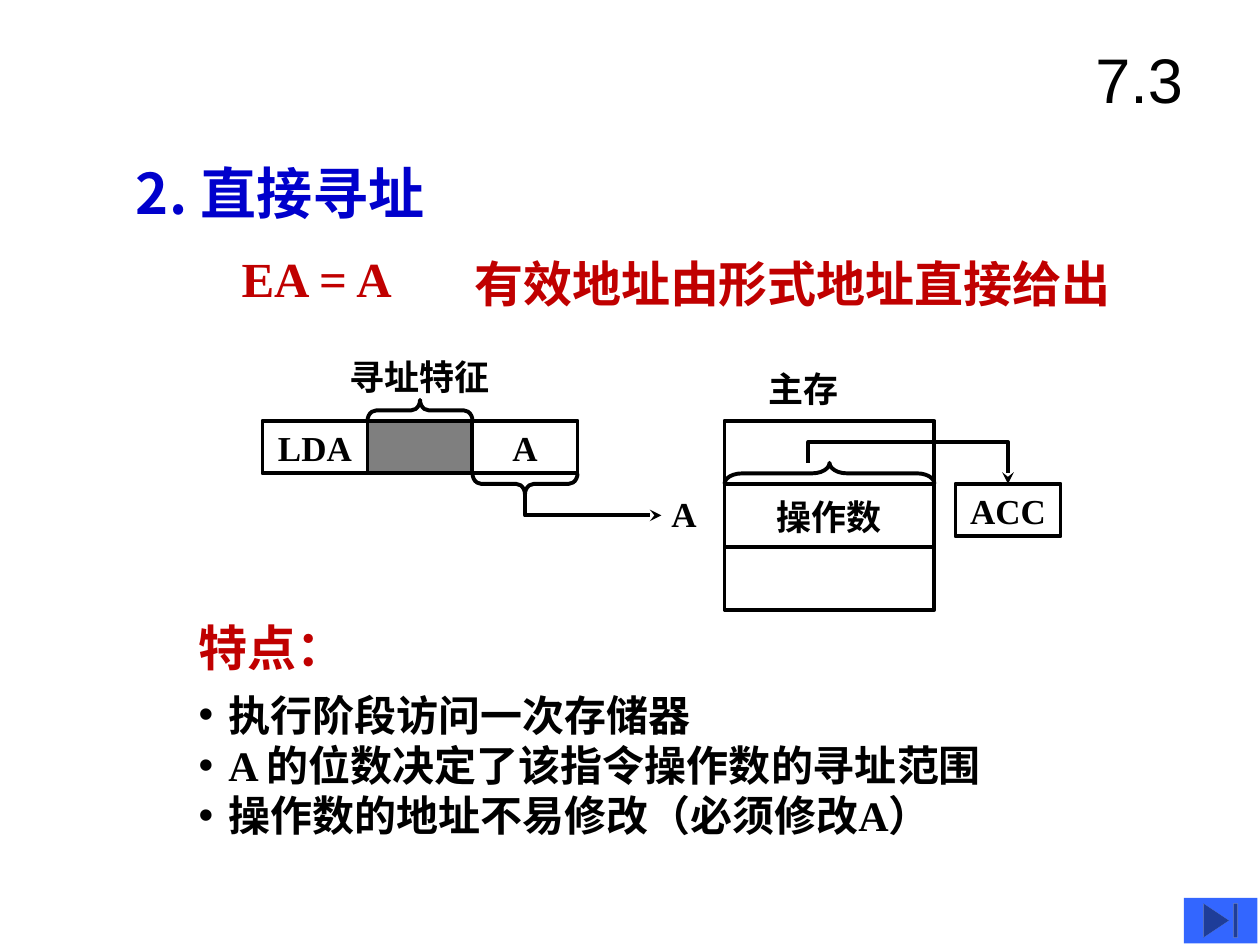
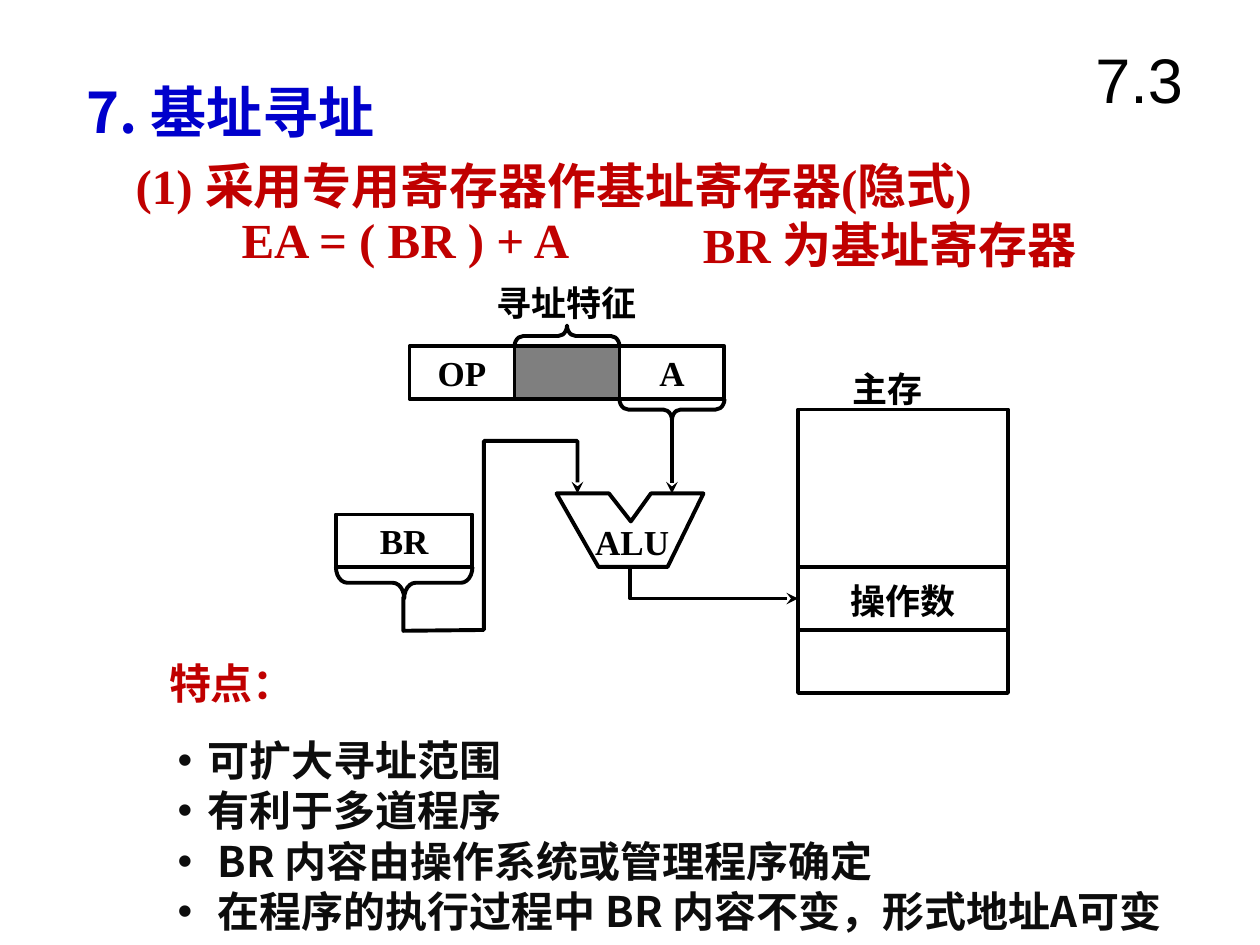
from dataclasses import dataclass
from lxml import etree
from pptx import Presentation
from pptx.dml import color
from pptx.enum import shapes, text
from pptx.oxml import ns
from pptx.util import Pt


@dataclass(frozen=True)
class Theme:
    blue: str = "0000CC"
    red: str = "C00000"
    black: str = "000000"
    soft_black: str = "0D0D0D"
    button: str = "3366FF"
    serif: str = "Times New Roman"
    cjk: str = "Noto Sans CJK SC"
    sans: str = "Arial"
    section: int = 36
    heading: int = 32
    formula: int = 28
    bullet: int = 24
    label: int = 20
    line: float = 2.25
    leading: float = 1.2
    cjk_drop: float = 0.09


THEME = Theme()
SECTION = "7.3"
CELL_W, CELL_H = 60, 30
MEMORY_W, ROW_H = 120, 36
BRACE = 12

DIRECT = {
    "heading": ("2. 直接寻址", 70.5, 84),
    "formulas": [
        ("EA = A", 131, 138.5, 200),
        ("有效地址由形式地址直接给出", 264, 139, 414),
    ],
    "instruction": ("LDA", 150, 240.5),
    "memory": (414, 240.5, (ROW_H, ROW_H, ROW_H), 432),
    "features": ("特点：", 106.5, 347, THEME.formula),
    "bullets": {
        "at": (106.5, 388, 537, 94),
        "font": THEME.serif,
        "color": THEME.black,
        "lines": [
            ("执行阶段访问一次存储器", 17),
            ("A 的位数决定了该指令操作数的寻址范围", 17),
            ("操作数的地址不易修改（必须修改A）", 17),
        ],
    },
}

BASE = {
    "heading": ("7. 基址寻址", 42, 38),
    "formulas": [
        ("(1) 采用专用寄存器作基址寄存器(隐式)", 70.5, 83, 499),
        ("EA = ( BR ) + A", 131, 116.5, 230),
        ("BR 为基址寄存器", 394.5, 116.5, 250),
    ],
    "instruction": ("OP", 234, 198),
    "memory": (456, 234, (90, ROW_H, ROW_H), 480),
    "features": ("特点：", 89.5, 370, THEME.bullet),
    "bullets": {
        "at": (94.5, 414, 612, 123),
        "font": THEME.cjk,
        "color": THEME.soft_black,
        "lines": [
            ("可扩大寻址范围", 17),
            ("有利于多道程序", 17),
            ("BR 内容由操作系统或管理程序确定", 23),
            ("在程序的执行过程中 BR 内容不变，形式地址A可变", 23),
        ],
    },
}


def rgb(value):
    return color.RGBColor.from_string(value)


def add_child(parent, tag, **attributes):
    return etree.SubElement(parent, ns.qn(tag), **attributes)


def write(box, content, *, size=THEME.label, font=THEME.serif, ink=THEME.black,
          bold=True, align=text.PP_ALIGN.LEFT, anchor=text.MSO_ANCHOR.TOP,
          wrap=True, indents=None):
    lines = [content] if isinstance(content, str) else content
    frame = box.text_frame
    frame.word_wrap = wrap
    frame.auto_size = text.MSO_AUTO_SIZE.NONE
    frame.vertical_anchor = anchor
    frame.margin_left = frame.margin_right = Pt(7.2)
    has_cjk = any(ord(letter) > 0x2E80 for letter in "".join(lines))
    frame.margin_top = Pt(3.6 + has_cjk * THEME.cjk_drop * size)
    frame.margin_bottom = Pt(3.6)
    for index, line in enumerate(lines):
        paragraph = frame.paragraphs[0] if index == 0 else frame.add_paragraph()
        paragraph.alignment = align
        paragraph.line_spacing = Pt(THEME.leading * size)
        paragraph.space_before = Pt(0)
        if indents:
            properties = paragraph._p.get_or_add_pPr()
            properties.set("marL", str(Pt(indents[index])))
            properties.set("indent", str(-Pt(indents[index])))
            add_child(properties, "a:buFont", typeface=THEME.sans)
            add_child(properties, "a:buChar", char="•")
        run = paragraph.add_run()
        run.text = line
        run.font.size = Pt(size)
        run.font.bold = bold
        run.font.name = font
        run.font.color.rgb = rgb(ink)
        add_child(run._r.get_or_add_rPr(), "a:ea", typeface=THEME.cjk)


def label(slide, content, x, y, width, height, **form):
    box = slide.shapes.add_textbox(Pt(x), Pt(y), Pt(width), Pt(height))
    write(box, content, **form)


def outline(shape):
    shape.shadow.inherit = False
    shape.fill.background()
    shape.line.color.rgb = rgb(THEME.black)
    shape.line.width = Pt(THEME.line)


def cell(slide, x, y, width, height, content="", shaded=False):
    box = slide.shapes.add_shape(
        shapes.MSO_SHAPE.RECTANGLE, Pt(x), Pt(y), Pt(width), Pt(height))
    outline(box)
    if shaded:
        box.fill.solid()
        box.fill.fore_color.rgb = rgb(THEME.black)
        ink = box._element.spPr.find(".//" + ns.qn("a:srgbClr"))
        add_child(ink, "a:alpha", val="50000")
    if content:
        write(box, content, align=text.PP_ALIGN.CENTER,
              anchor=text.MSO_ANCHOR.MIDDLE, wrap=False)


def brace(slide, x, y, span, depth=BRACE, up=True):
    left = x + (span - depth) / 2
    top = y - (span - depth) / 2
    shape = slide.shapes.add_shape(
        shapes.MSO_SHAPE.LEFT_BRACE, Pt(left), Pt(top), Pt(depth), Pt(span))
    shape.adjustments[0] = span / 12 / depth
    shape.rotation = 90 if up else 270
    outline(shape)


def add_arrowhead(line):
    add_child(line._get_or_add_ln(), "a:tailEnd", type="stealth")


def route(slide, points, closed=False):
    corners = [(Pt(x), Pt(y)) for x, y in points]
    builder = slide.shapes.build_freeform(*corners[0], scale=1.0)
    builder.add_line_segments(corners[1:], close=closed)
    shape = builder.convert_to_shape()
    outline(shape)
    if not closed:
        add_arrowhead(shape.line)


def straight_arrow(slide, start, end):
    arrow = slide.shapes.add_connector(
        shapes.MSO_CONNECTOR.STRAIGHT, *map(Pt, start + end))
    arrow.line.color.rgb = rgb(THEME.black)
    arrow.line.width = Pt(THEME.line)
    add_arrowhead(arrow.line)
    add_child(arrow._element.spPr, "a:effectLst")


def draw_instruction(slide, opcode, x, y):
    for index, content in enumerate((opcode, "", "A")):
        cell(slide, x + index * CELL_W, y, CELL_W, CELL_H, content,
             shaded=not content)
    brace(slide, x + CELL_W, y - BRACE, CELL_W)
    brace(slide, x + 2 * CELL_W, y + CELL_H, CELL_W, up=False)
    label(slide, "寻址特征", x + 42.5, y - 42.5, 105, 32)


def draw_memory(slide, x, y, heights, label_x):
    label(slide, "主存", label_x, 204.5, 60, 32)
    for index, height in enumerate(heights):
        cell(slide, x, y + sum(heights[:index]), MEMORY_W, height,
             "操作数" if index == 1 else "")


def start_slide(deck, content):
    slide = deck.slides.add_slide(deck.slide_layouts[5])
    heading, x, y = content["heading"]
    title = slide.shapes.title
    title.left, title.top, title.width, title.height = map(Pt, (x, y, 267, 46))
    write(title, heading, size=THEME.heading, font=THEME.cjk, ink=THEME.blue)
    label(slide, SECTION, 606, 12, 90, 66, size=THEME.section, font=THEME.sans,
          bold=False, align=text.PP_ALIGN.CENTER, anchor=text.MSO_ANCHOR.MIDDLE)
    for formula, x, y, width in content["formulas"]:
        label(slide, formula, x, y, width, 41, size=THEME.formula, ink=THEME.red)
    draw_instruction(slide, *content["instruction"])
    draw_memory(slide, *content["memory"])
    features, x, y, size = content["features"]
    label(slide, features, x, y, 120, 41, size=size, font=THEME.cjk, ink=THEME.red)
    bullets = content["bullets"]
    lines, indents = zip(*bullets["lines"])
    label(slide, lines, *bullets["at"], size=THEME.bullet, font=bullets["font"],
          ink=bullets["color"], indents=indents)
    return slide


def build_direct(deck):
    slide = start_slide(deck, DIRECT)
    route(slide, [(300, 282), (300, 294.5), (378, 294.5)])
    label(slide, "A", 376.5, 278, 40, 32)
    brace(slide, 414, 264.5, MEMORY_W)
    cell(slide, 546, 276.5, CELL_W, CELL_H, "ACC")
    route(slide, [(462, 264.5), (462, 252.5), (576, 252.5), (576, 276.5)])
    button = slide.shapes.add_shape(
        shapes.MSO_SHAPE.ACTION_BUTTON_END, Pt(676.5), Pt(513), Pt(42), Pt(26))
    button.shadow.inherit = False
    button.fill.solid()
    button.fill.fore_color.rgb = rgb(THEME.button)
    button.line.fill.background()


def build_base(deck):
    slide = start_slide(deck, BASE)
    alu = [(318, 282), (348, 282), (360.5, 298), (372, 282),
           (402, 282), (381.5, 324), (342, 324)]
    route(slide, alu, closed=True)
    label(slide, "ALU", 333, 294, 62, 32)
    cell(slide, 192, 294, 78, CELL_H, "BR")
    brace(slide, 192, 324, 78, depth=18, up=False)
    route(slide, [(230.5, 341), (230.5, 360.5), (276.5, 360), (276.5, 252),
                  (330, 252), (330, 282)])
    straight_arrow(slide, (384, 240), (384, 282))
    route(slide, [(360, 324), (360, 342), (456, 342)])


def main():
    deck = Presentation()
    deck.slide_width, deck.slide_height = Pt(720), Pt(540)
    build_direct(deck)
    build_base(deck)
    deck.save("out.pptx")


if __name__ == "__main__":
    main()
